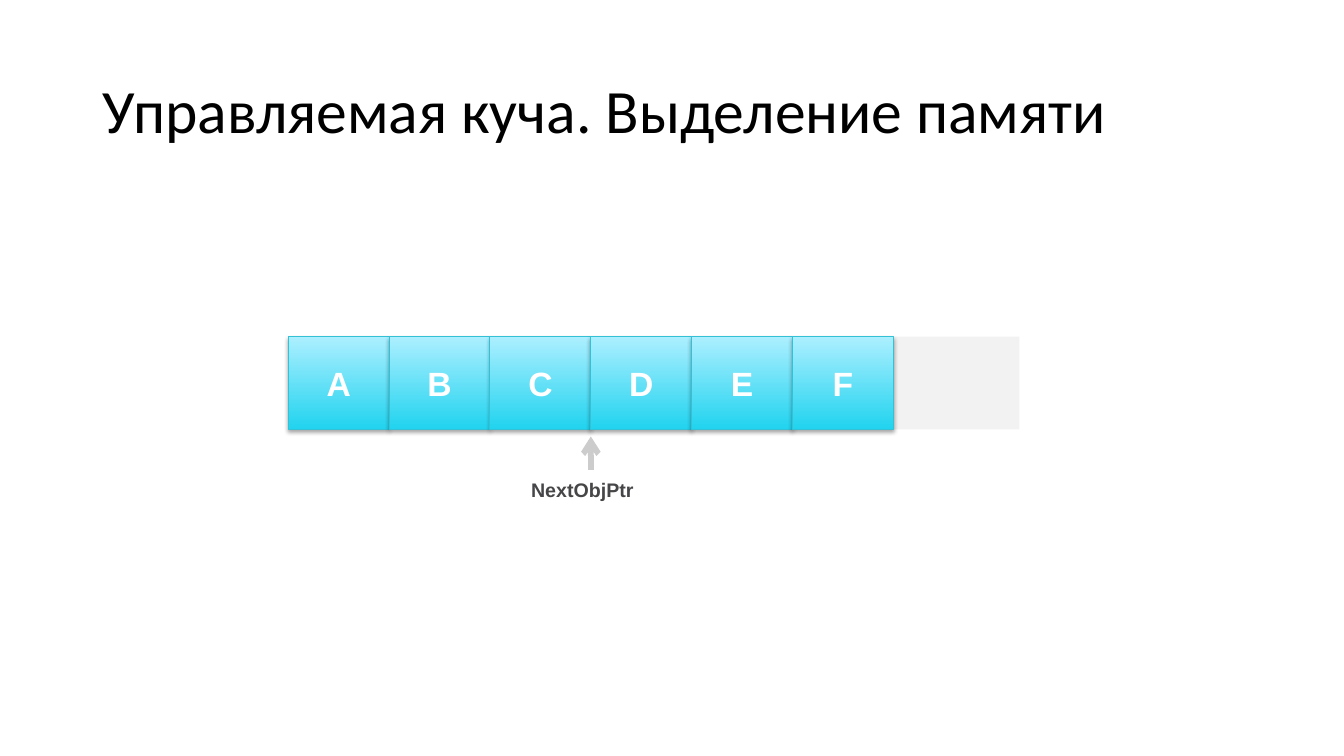
from lxml import etree
from pptx import Presentation
from pptx.dml.color import RGBColor
from pptx.enum.shapes import MSO_CONNECTOR, MSO_SHAPE
from pptx.enum.text import MSO_ANCHOR, PP_ALIGN
from pptx.oxml.ns import qn
from pptx.util import Inches, Pt

RECT, ROUNDED = MSO_SHAPE.RECTANGLE, MSO_SHAPE.ROUNDED_RECTANGLE
STRAIGHT = MSO_CONNECTOR.STRAIGHT
MIDDLE = MSO_ANCHOR.MIDDLE
LEFT, CENTER = PP_ALIGN.LEFT, PP_ALIGN.CENTER
TITLE_ONLY = 5

COLORS = {
    "title": "000000",
    "cell_bottom": "21D3EF",
    "cell_top": "ACEFFF",
    "cell_border": "34C1D6",
    "cell_text": "FFFFFF",
    "shadow": "000000",
    "free_memory": "F2F2F2",
    "label_back": "FFFFFF",
    "label_text": "464547",
    "pointer": "CCCCCC",
}
HEAP_LEFT, HEAP_TOP = 2.86, 3.34
CELL_WIDTH, CELL_HEIGHT = 1, 0.92
FREE_WIDTH = 4.25


def rgb(name):
    """Return the named palette colour."""
    return RGBColor.from_string(COLORS[name])


def write(shape, text, size, font, color, align, bold=False):
    """Put one formatted, vertically centred paragraph into a shape."""
    frame = shape.text_frame
    frame.text = text
    frame.word_wrap = True
    frame.vertical_anchor = MIDDLE
    paragraph = frame.paragraphs[0]
    paragraph.alignment = align
    run_font = paragraph.runs[0].font
    run_font.size, run_font.name, run_font.bold = Pt(size), font, bold
    run_font.color.rgb = rgb(color)
    return paragraph


def add_title(slide, text):
    """Place and format the slide title."""
    title = slide.shapes.title
    title.left, title.top = Inches(0.92), Inches(0.4)
    title.width, title.height = Inches(11.5), Inches(1.45)
    write(title, text, 44, "Calibri", "title", LEFT).line_spacing = 0.9


def add_block(shapes, kind, left, top, width, height, color):
    """Add a flat borderless block."""
    block = shapes.add_shape(
        kind, Inches(left), Inches(top), Inches(width), Inches(height))
    block.shadow.inherit = False
    block.fill.solid()
    block.fill.fore_color.rgb = rgb(color)
    block.line.fill.background()
    return block


def add_drop_shadow(shape):
    """Give a shape a soft shadow falling straight down."""
    effects = shape._element.spPr.find(qn("a:effectLst"))
    shadow = etree.SubElement(
        effects, qn("a:outerShdw"), blurRad=str(Pt(3.1)), dist=str(Pt(1.8)),
        dir="5400000", rotWithShape="0")
    color = etree.SubElement(shadow, qn("a:srgbClr"), val=COLORS["shadow"])
    etree.SubElement(color, qn("a:alpha"), val="35000")


def add_object_cell(shapes, index, letter):
    """Add the heap cell of one allocated object."""
    cell = add_block(shapes, RECT, HEAP_LEFT + index * CELL_WIDTH, HEAP_TOP,
                     CELL_WIDTH, CELL_HEIGHT, "cell_top")
    cell.fill.gradient()
    cell.fill.gradient_angle = 90
    for stop, color in zip(cell.fill.gradient_stops, ("cell_bottom", "cell_top")):
        stop.color.rgb = rgb(color)
    cell.line.color.rgb = rgb("cell_border")
    cell.line.width = Pt(0.75)
    add_drop_shadow(cell)
    paragraph = write(cell, letter, 24, "Arial", "cell_text", CENTER, bold=True)
    paragraph.space_after = Pt(10)


def add_pointer(shapes, x, text):
    """Add the labelled arrow that points up at the next free address."""
    pointer = shapes.add_group_shape()
    label = add_block(pointer.shapes, ROUNDED, 5.15, 4.66, 1.43, 0.39, "label_back")
    write(label, text, 14, "Arial", "label_text", LEFT, bold=True)
    arrow = pointer.shapes.add_connector(
        STRAIGHT, Inches(x), Inches(4.66), Inches(x), Inches(4.33))
    arrow.line.color.rgb = rgb("pointer")
    arrow.line.width = Pt(4)
    etree.SubElement(arrow.line._get_or_add_ln(), qn("a:tailEnd"), type="arrow")
    etree.SubElement(arrow._element.spPr, qn("a:effectLst"))


def main():
    """Build the managed heap slide."""
    deck = Presentation()
    deck.slide_width, deck.slide_height = Inches(13.33), Inches(7.5)
    slide = deck.slides.add_slide(deck.slide_layouts[TITLE_ONLY])
    shapes = slide.shapes
    add_title(slide, "Управляемая куча. Выделение памяти")

    existing, allocated = "ABC", "DEF"
    for index, letter in enumerate(existing):
        add_object_cell(shapes, index, letter)
    free_left = HEAP_LEFT + len(existing) * CELL_WIDTH
    add_block(shapes, RECT, free_left, HEAP_TOP, FREE_WIDTH, CELL_HEIGHT, "free_memory")
    add_pointer(shapes, free_left, "NextObjPtr")
    for index, letter in enumerate(allocated, len(existing)):
        add_object_cell(shapes, index, letter)
    deck.save("out.pptx")


if __name__ == "__main__":
    main()
